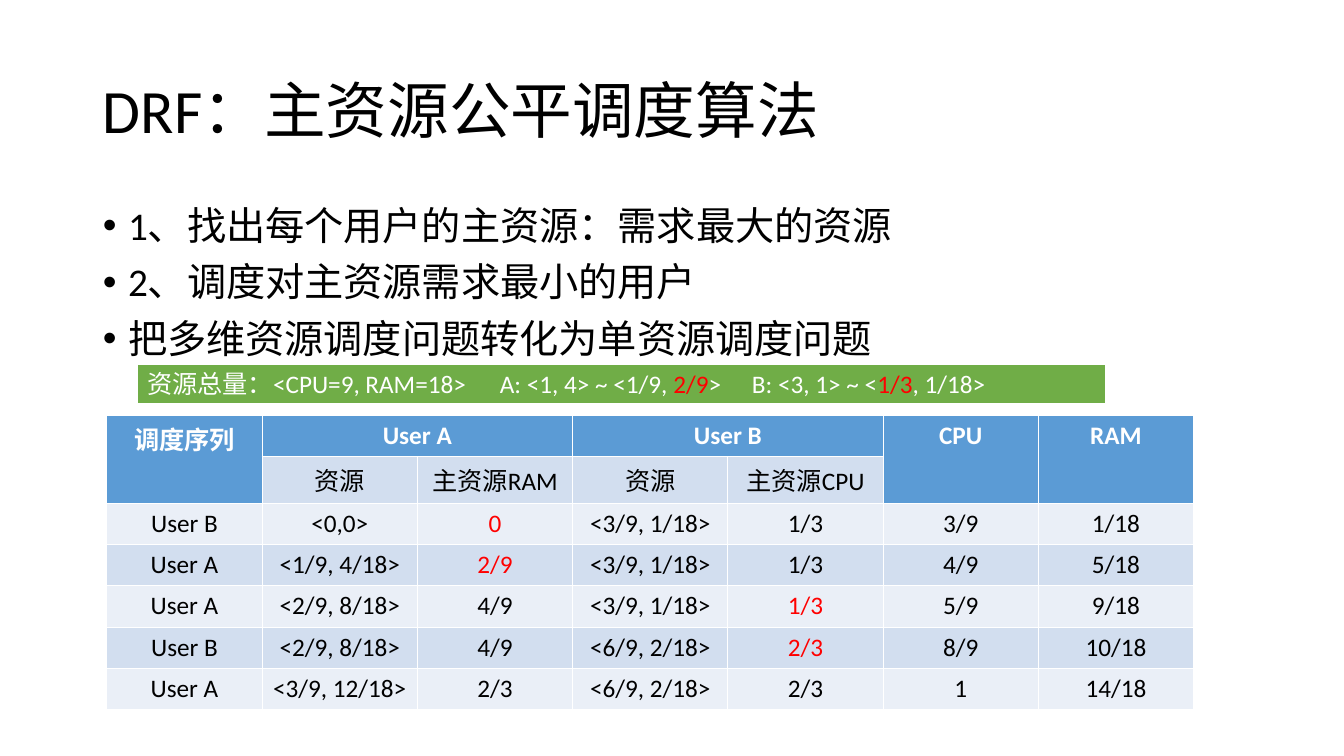
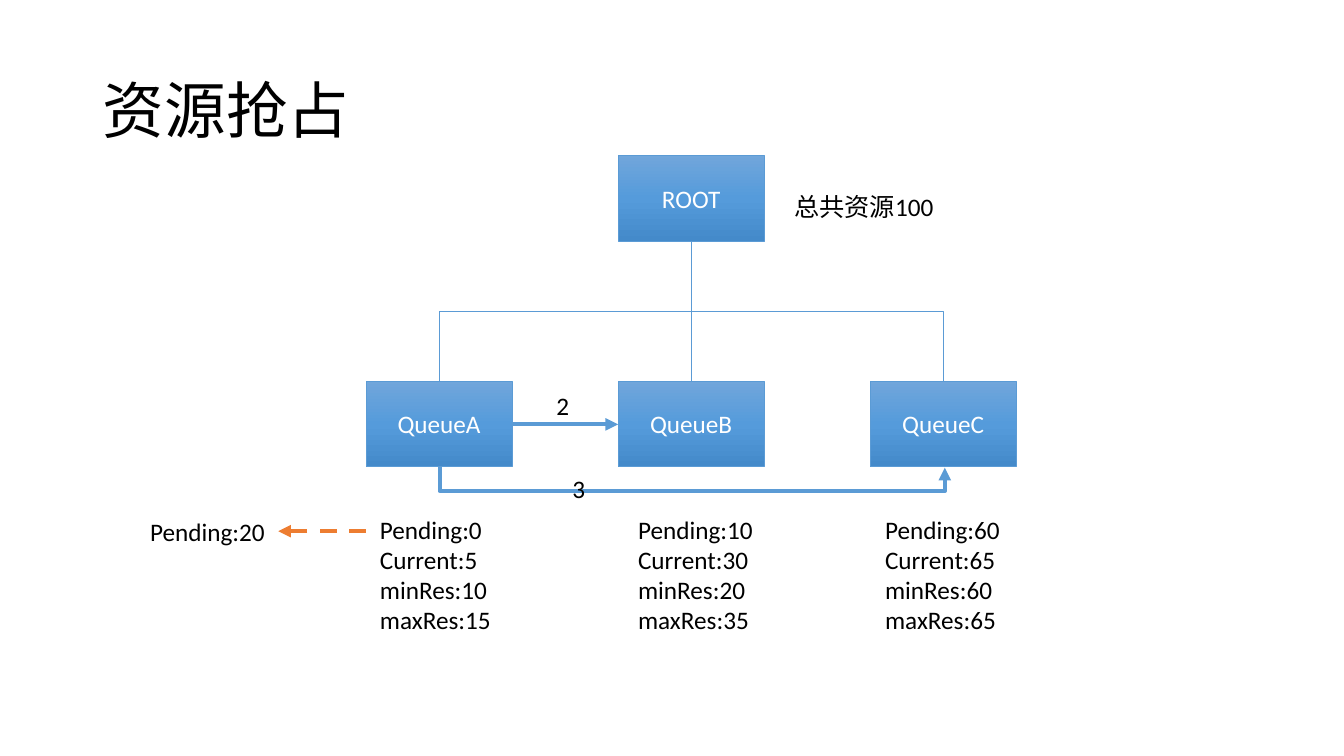
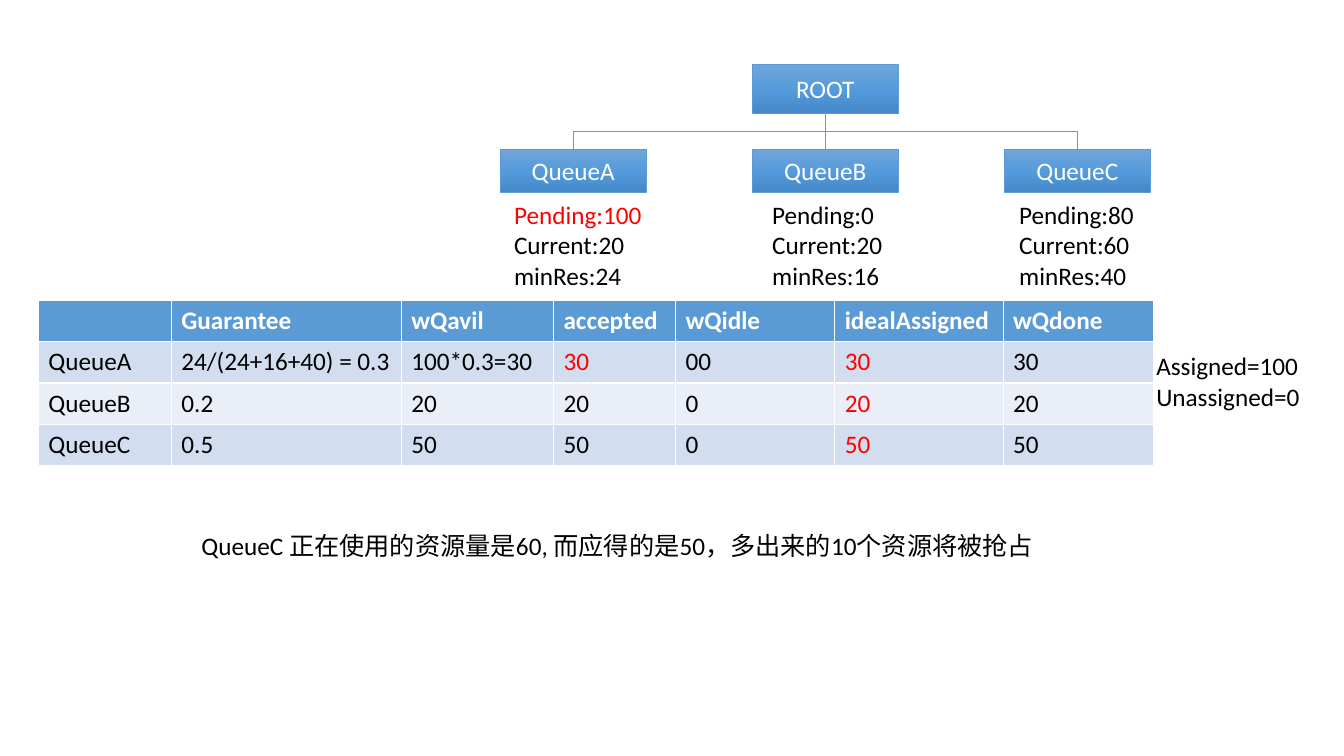
"""Build three slides on DRF scheduling and resource preemption between queues."""
from copy import deepcopy

from lxml import etree
from pptx import Presentation
from pptx.dml.color import RGBColor
from pptx.enum.dml import MSO_LINE
from pptx.enum.shapes import MSO_CONNECTOR, MSO_SHAPE
from pptx.enum.text import MSO_ANCHOR, MSO_AUTO_SIZE, PP_ALIGN
from pptx.oxml.ns import qn
from pptx.util import Inches, Pt

STRAIGHT, ELBOW = MSO_CONNECTOR.STRAIGHT, MSO_CONNECTOR.ELBOW
RECTANGLE = MSO_SHAPE.RECTANGLE
DASH = MSO_LINE.DASH
TOP, MIDDLE = MSO_ANCHOR.TOP, MSO_ANCHOR.MIDDLE
LEFT, CENTER = PP_ALIGN.LEFT, PP_ALIGN.CENTER
NO_FIT, GROW = MSO_AUTO_SIZE.NONE, MSO_AUTO_SIZE.SHAPE_TO_FIT_TEXT

FONT = "Calibri"
BLACK = RGBColor(0x00, 0x00, 0x00)
WHITE = RGBColor(0xFF, 0xFF, 0xFF)
RED = RGBColor(0xFF, 0x00, 0x00)
BLUE = RGBColor(0x5B, 0x9B, 0xD5)
GREEN = RGBColor(0x70, 0xAD, 0x47)
ORANGE = RGBColor(0xED, 0x7D, 0x31)
BAND_DARK = RGBColor(0xD2, 0xDE, 0xEF)
BAND_LIGHT = RGBColor(0xEA, 0xEF, 0xF7)
BOX_GRADIENT = (
    (0, RGBColor(0x71, 0xA6, 0xDB)),
    (0.5, RGBColor(0x55, 0x9B, 0xDB)),
    (1, RGBColor(0x44, 0x8A, 0xCA)),
)
BOX_WIDTH = 1.45
QUEUE_PITCH = 2.5
LINE_HEIGHT = 0.3
ROW_HEIGHT = 0.41


def write(frame, text, color=BLACK, size=18, bold=False, align=LEFT):
    """Fill a text frame and format all its runs alike."""
    frame.text = text
    for paragraph in frame.paragraphs:
        paragraph.alignment = align
        for run in paragraph.runs:
            run.font.name = FONT
            run.font.size = Pt(size)
            run.font.bold = bold
            run.font.color.rgb = color


def link(slide, start, end, color=BLUE, width=0.5, arrow=False, dash=None, bend=None):
    """Draw a straight line, or an elbow that leaves downwards."""
    (x1, y1), (x2, y2) = start, end
    elbow = x1 != x2 and y1 != y2
    if elbow:
        mid_x, mid_y = (x1 + x2) / 2, (y1 + y2) / 2
        half_width, half_height = (y2 - y1) / 2, abs(x2 - x1) / 2
        side = 1 if x2 > x1 else -1
        x1, x2 = mid_x + side * half_width, mid_x - side * half_width
        y1, y2 = mid_y - half_height, mid_y + half_height
    line = slide.shapes.add_connector(
        ELBOW if elbow else STRAIGHT, Inches(x1), Inches(y1), Inches(x2), Inches(y2))
    line.line.color.rgb = color
    line.line.width = Pt(width)
    if dash:
        line.line.dash_style = dash
    properties = line._element.spPr
    if elbow:
        properties.find(qn("a:xfrm")).set("rot", str((270 if side > 0 else 90) * 60000))
    if bend:
        guides = properties.find(qn("a:prstGeom")).find(qn("a:avLst"))
        etree.SubElement(guides, qn("a:gd"), name="adj1", fmla=f"val {round(bend * 100000)}")
    if arrow:
        etree.SubElement(properties.find(qn("a:ln")), qn("a:tailEnd"), type="triangle")
    etree.SubElement(properties, qn("a:effectLst"))


prs = Presentation()
prs.slide_width, prs.slide_height = Inches(13.33), Inches(7.5)
content_layout, title_layout, blank_layout = (prs.slide_layouts[i] for i in (1, 5, 6))
drf = prs.slides.add_slide(content_layout)
preemption = prs.slides.add_slide(title_layout)
assignment = prs.slides.add_slide(blank_layout)

for slide, heading in ((drf, "DRF：主资源公平调度算法"), (preemption, "资源抢占")):
    title = slide.shapes.title
    title.left, title.top, title.width, title.height = map(Inches, (0.92, 0.4, 11.5, 1.45))
    write(title.text_frame, heading, size=44)
    title.text_frame.auto_size = NO_FIT
    title.text_frame.vertical_anchor = MIDDLE
    title.text_frame.paragraphs[0].line_spacing = 0.9

steps = drf.placeholders[1]
steps.left, steps.top, steps.width, steps.height = map(Inches, (0.92, 2, 11.5, 4.76))
write(steps.text_frame, "1、找出每个用户的主资源：需求最大的资源\n"
      "2、调度对主资源需求最小的用户\n把多维资源调度问题转化为单资源调度问题", size=28)
steps.text_frame.auto_size = NO_FIT
for step in steps.text_frame.paragraphs:
    step.line_spacing = 0.9
    step.space_before = Pt(10)
    indents = step._p.get_or_add_pPr()
    indents.set("marL", str(Inches(0.25)))
    indents.set("indent", str(Inches(-0.25)))

tables = (
    (drf, 1.06, 4.12, [1.54] * 7, CENTER, (
        ("调度序列", "User A", "", "User B", "", "CPU", "RAM"),
        ("", "资源", "主资源RAM", "资源", "主资源CPU", "", ""),
        ("User B", "<0,0>", "0", "<3/9, 1/18>", "1/3", "3/9", "1/18"),
        ("User A", "<1/9, 4/18>", "2/9", "<3/9, 1/18>", "1/3", "4/9", "5/18"),
        ("User A", "<2/9, 8/18>", "4/9", "<3/9, 1/18>", "1/3", "5/9", "9/18"),
        ("User B", "<2/9, 8/18>", "4/9", "<6/9, 2/18>", "2/3", "8/9", "10/18"),
        ("User A", "<3/9, 12/18>", "2/3", "<6/9, 2/18>", "2/3", "1", "14/18"),
    ), {(2, 2), (3, 2), (4, 4), (5, 4)},
     ((0, 0, 1, 0), (0, 1, 0, 2), (0, 3, 0, 4), (0, 5, 1, 5), (0, 6, 1, 6))),
    (assignment, 0.38, 2.98, [1.32, 2.28, 1.51, 1.21, 1.58, 1.67, 1.49], LEFT, (
        ("", "Guarantee", "wQavil", "accepted", "wQidle", "idealAssigned", "wQdone"),
        ("QueueA", "24/(24+16+40) = 0.3", "100*0.3=30", "30", "00", "30", "30"),
        ("QueueB", "0.2", "20", "20", "0", "20", "20"),
        ("QueueC", "0.5", "50", "50", "0", "50", "50"),
    ), {(1, 3), (1, 5), (2, 5), (3, 5)}, ()),
)
for slide, left, top, widths, align, rows, red_cells, spans in tables:
    grid = slide.shapes.add_table(
        len(rows), len(widths), Inches(left), Inches(top),
        Inches(sum(widths)), Inches(ROW_HEIGHT * len(rows))).table
    for column, width in zip(grid.columns, widths):
        column.width = Inches(width)
    for r, row in enumerate(rows):
        grid.rows[r].height = Inches(ROW_HEIGHT)
        for c, value in enumerate(row):
            cell = grid.cell(r, c)
            cell.fill.solid()
            cell.fill.fore_color.rgb = (
                BLUE if r == 0 else BAND_DARK if r % 2 else BAND_LIGHT)
            color = WHITE if r == 0 else RED if (r, c) in red_cells else BLACK
            write(cell.text_frame, value, color, bold=r == 0, align=align)
    for first_row, first_column, last_row, last_column in spans:
        grid.cell(first_row, first_column).merge(grid.cell(last_row, last_column))

totals = drf.shapes.add_shape(RECTANGLE, Inches(1.36), Inches(3.61), Inches(9.61), Inches(0.4))
totals.shadow.inherit = False
totals.fill.solid()
totals.fill.fore_color.rgb = GREEN
totals.line.color.rgb = WHITE
totals.line.width = Pt(1.5)
totals.text_frame.word_wrap = False
totals.text_frame.auto_size = GROW
totals.text_frame.vertical_anchor = TOP
demand = totals.text_frame.paragraphs[0]
demand.alignment = LEFT
for part, color in (
    ("资源总量：<CPU=9, RAM=18>\tA: <1, 4> ~ <1/9, ", WHITE), ("2/9", RED),
    (">\tB: <3, 1> ~ <", WHITE), ("1/3", RED), (", 1/18>", WHITE),
):
    run = demand.add_run()
    run.text = part
    run.font.name = FONT
    run.font.size = Pt(18)
    run.font.color.rgb = color

labels = [
    (preemption, 5.42, 3.82, 0.33, "2", False),
    (preemption, 5.58, 4.65, 0.33, "3", False),
    (preemption, 1.39, 5.07, 1.35, "Pending:20", False),
    (preemption, 7.78, 1.85, 1.6, "总共资源100", True),
    (assignment, 11.37, 3.43, 1.64, "Assigned=100\nUnassigned=0", False),
    (assignment, 1.9, 5.21, 8.54,
     "QueueC 正在使用的资源量是60, 而应得的是50，多出来的10个资源将被抢占", True),
]

trees = (
    (preemption, 6.13, 1.54, 0.85, 3.78, 0.85, 5.05, (
        ("QueueA", 0.04, 1.31, "Pending:0\nCurrent:5\nminRes:10\nmaxRes:15"),
        ("QueueB", 0.1, 1.35, "Pending:10\nCurrent:30\nminRes:20\nmaxRes:35"),
        ("QueueC", 0.05, 1.35, "Pending:60\nCurrent:65\nminRes:60\nmaxRes:65"))),
    (assignment, 7.46, 0.64, 0.48, 1.48, 0.43, 1.93, (
        ("QueueA", 0.04, 1.48, "Pending:100\nCurrent:20\nminRes:24"),
        ("QueueB", 0.1, 1.31, "Pending:0\nCurrent:20\nminRes:16"),
        ("QueueC", 0.05, 1.35, "Pending:80\nCurrent:60\nminRes:40"))),
)
for slide, root_left, root_top, root_height, queue_top, queue_height, facts_top, queues in trees:
    boxes = [("ROOT", root_left, root_top, root_height)]
    root_foot = (root_left + BOX_WIDTH / 2, root_top + root_height)
    for i, (queue, inset, facts_width, facts) in enumerate(queues):
        queue_left = root_left + (i - 1) * QUEUE_PITCH
        boxes.append((queue, queue_left, queue_top, queue_height))
        labels.append((slide, queue_left + inset, facts_top, facts_width, facts, False))
        link(slide, root_foot, (queue_left + BOX_WIDTH / 2, queue_top))
    for name, left, top, height in boxes:
        box = slide.shapes.add_shape(
            RECTANGLE, Inches(left), Inches(top), Inches(BOX_WIDTH), Inches(height))
        box.shadow.inherit = False
        box.fill.gradient()
        box.fill.gradient_angle = 270
        stop_list = box._element.spPr.find(qn("a:gradFill")).find(qn("a:gsLst"))
        stop_list.insert(1, deepcopy(stop_list[0]))
        for stop, (position, color) in zip(box.fill.gradient_stops, BOX_GRADIENT):
            stop.position = position
            stop.color.rgb = color
        box.line.color.rgb = BLUE
        box.line.width = Pt(0.5)
        box.text_frame.vertical_anchor = MIDDLE
        write(box.text_frame, name, WHITE, align=CENTER)

link(preemption, (5.08, 4.21), (6.13, 4.21), width=3, arrow=True)
link(preemption, (4.36, 4.62), (9.37, 4.64), width=3, arrow=True, bend=12.5)
link(preemption, (3.63, 5.27), (2.76, 5.27), ORANGE, 3, True, DASH)

for slide, left, top, width, text, wrap in labels:
    height = 0.1 + LINE_HEIGHT * len(text.split("\n"))
    label = slide.shapes.add_textbox(Inches(left), Inches(top), Inches(width), Inches(height))
    label.text_frame.word_wrap = wrap
    label.text_frame.auto_size = GROW
    write(label.text_frame, text)
    if text.startswith("Pending:100"):
        label.text_frame.paragraphs[0].runs[0].font.color.rgb = RED

prs.save("out.pptx")
